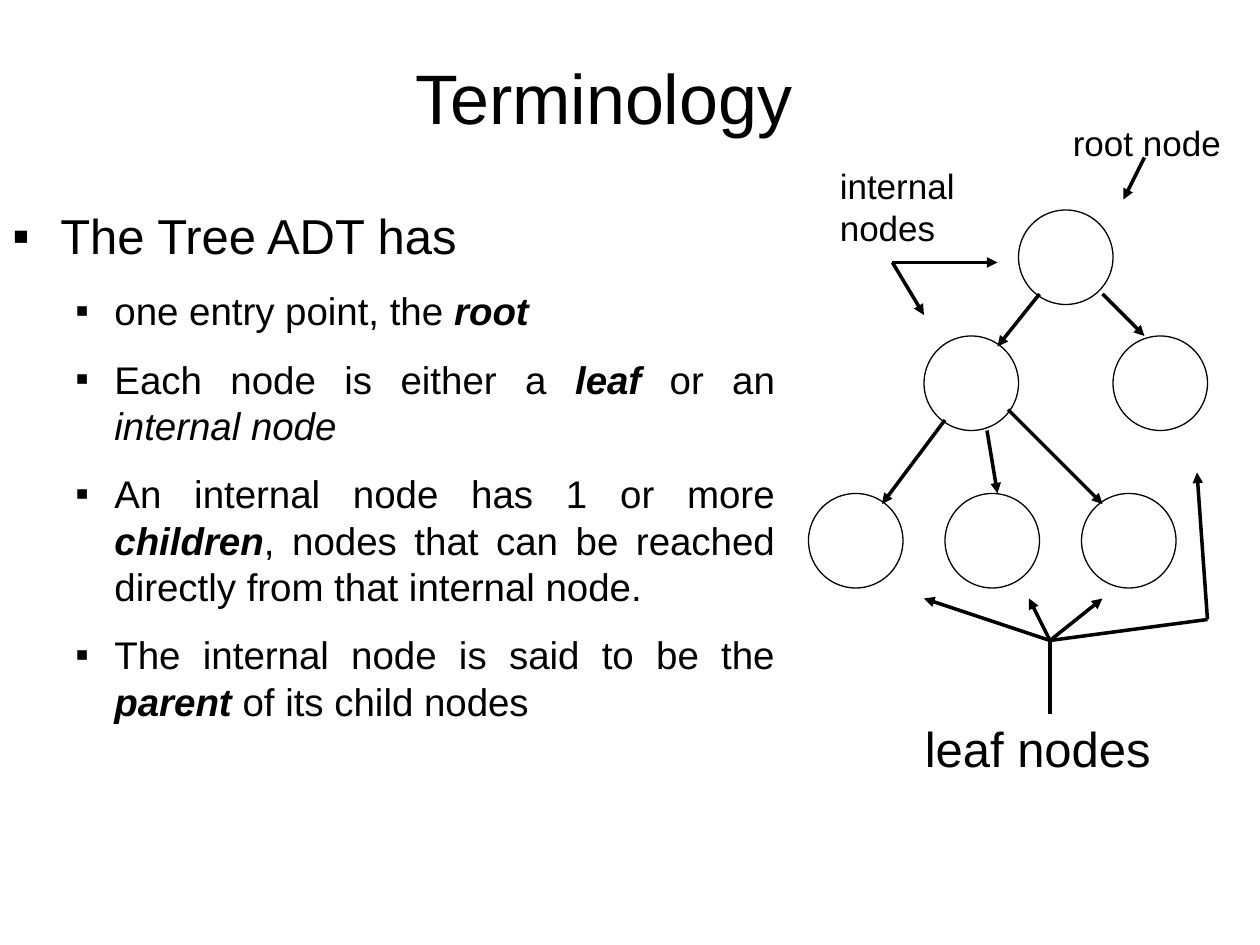
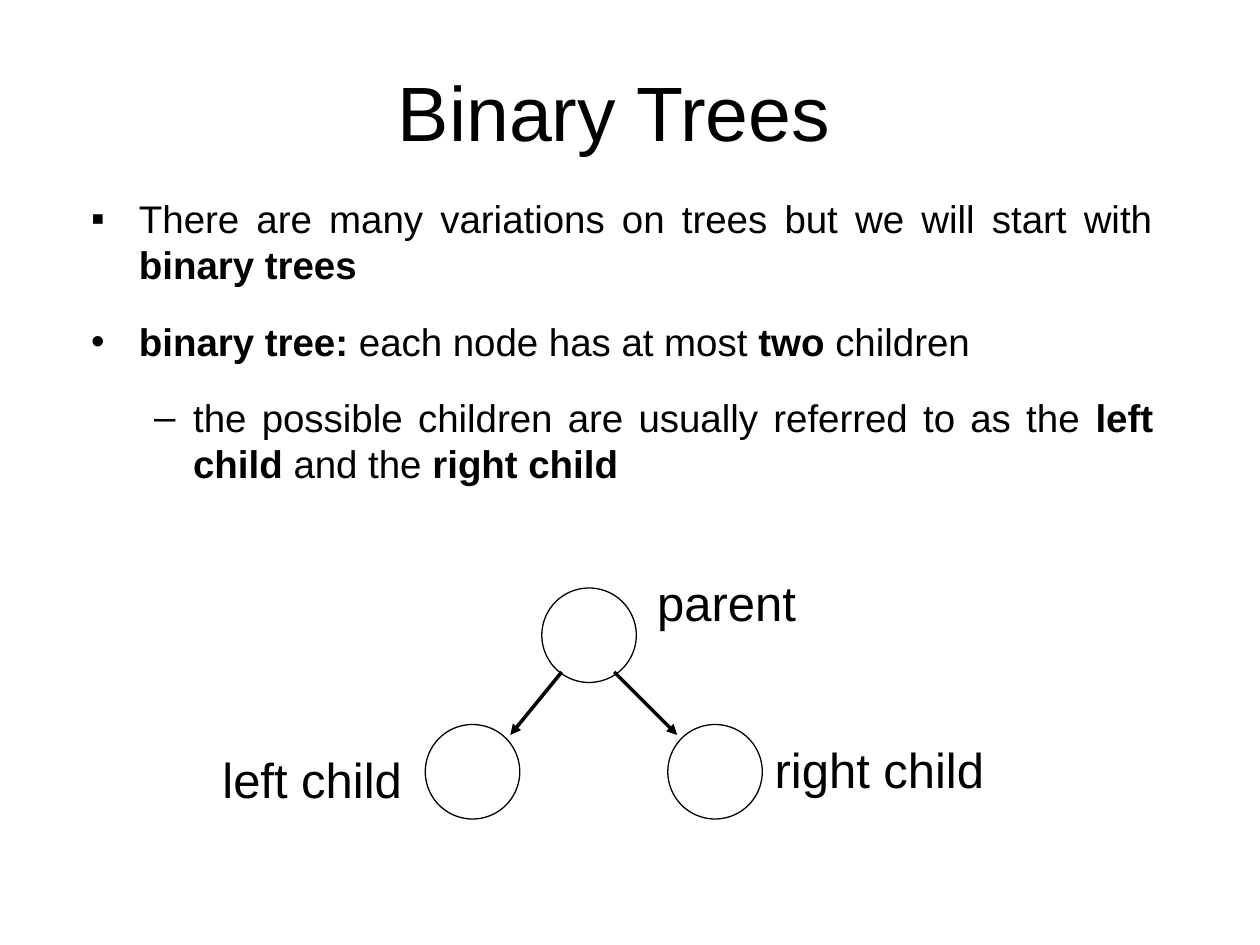
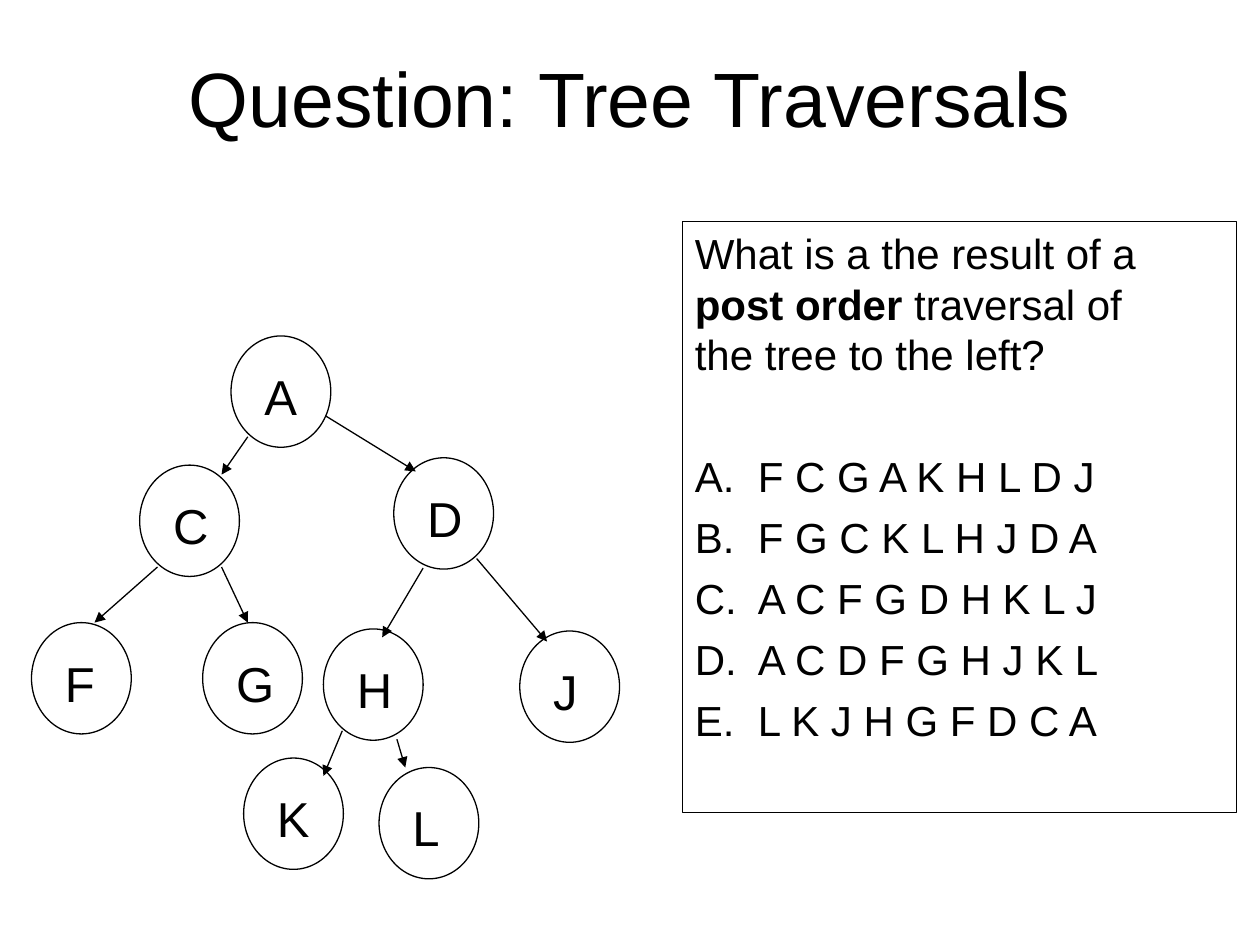
from dataclasses import dataclass

from lxml import etree
from pptx import Presentation
from pptx.dml.color import RGBColor
from pptx.enum.shapes import MSO_CONNECTOR, MSO_SHAPE
from pptx.enum.text import MSO_ANCHOR, PP_ALIGN
from pptx.oxml.ns import qn
from pptx.util import Inches, Pt

OVAL, RECT = MSO_SHAPE.OVAL, MSO_SHAPE.RECTANGLE
LINE = MSO_CONNECTOR.STRAIGHT
MID, TOP = MSO_ANCHOR.MIDDLE, MSO_ANCHOR.TOP
LEFT, MIDDLE, FULL = PP_ALIGN.LEFT, PP_ALIGN.CENTER, PP_ALIGN.JUSTIFY

WIDE, HIGH = Inches(10), Inches(7.5)
COLS, ROWS = 120, 90  # grid cells across and down the slide


@dataclass(frozen=True)
class Theme:
    font: str = "Arial"
    ink: RGBColor = RGBColor(0, 0, 0)
    title: int = 44
    label: int = 28
    note: int = 20
    text: int = 22
    quiz: int = 24
    thin: float = 0.75
    thick: float = 2


THEME = Theme()


# Shared helpers: all lengths are grid cells
def across(n):
    return round(WIDE * n / COLS)


def down(n):
    return round(HIGH * n / ROWS)


def place(x, y, w, h):
    return across(x), down(y), across(w), down(h)


def shift(box, x, y, w, h):
    return box[0] + x, box[1] + y, w, h


def add_runs(para, runs, size):
    """Each run is (text, style); style holds b and i as needed."""
    for text, style in runs:
        for i, part in enumerate(text.split("\n")):
            if i:
                para.add_line_break()
            if not part:
                continue
            run = para.add_run()
            run.text = part
            font = run.font
            font.name, font.size = THEME.font, Pt(size)
            font.color.rgb = THEME.ink
            font.bold, font.italic = "b" in style, "i" in style


def add_mark(para, left, hang, tag, **attrs):
    """Bullet or number with a hanging indent, in inches."""
    props = para._p.get_or_add_pPr()
    props.set("marL", str(Inches(left)))
    props.set("indent", str(Inches(-hang)))
    etree.SubElement(props, qn("a:buFont"), typeface=THEME.font)
    etree.SubElement(props, qn("a:" + tag), attrs)


def add_text(slide, box, text, size, align=LEFT, anchor=TOP):
    frame = slide.shapes.add_textbox(*place(*box)).text_frame
    frame.word_wrap, frame.vertical_anchor = True, anchor
    para = frame.paragraphs[0]
    para.alignment = align
    add_runs(para, [(text, "")], size)


def add_outline(slide, kind, box):
    shape = slide.shapes.add_shape(kind, *place(*box))
    shape.shadow.inherit = False
    shape.fill.background()
    shape.line.color.rgb = THEME.ink
    shape.line.width = Pt(THEME.thin)
    return shape


def add_line(slide, box, ends, width, arrow=True):
    x1, y1, x2, y2 = ends
    left, top = box[:2]
    line = slide.shapes.add_connector(
        LINE, across(left + x1), down(top + y1), across(left + x2), down(top + y2))
    line.line.color.rgb = THEME.ink
    line.line.width = Pt(width)
    props = line._element.spPr
    if arrow:
        etree.SubElement(props.find(qn("a:ln")), qn("a:tailEnd"), type="triangle")
    etree.SubElement(props, qn("a:effectLst"))


def add_title(slide, x, y, text, size=THEME.title):
    add_text(slide, (x, y, 102, 15), text, size, MIDDLE, MID)


def add_points(slide, box, points, gap):
    """Each point is (level, mark, size, runs)."""
    frame = slide.shapes.add_textbox(*place(*box)).text_frame
    frame.word_wrap = True
    for i, (level, mark, size, runs) in enumerate(points):
        para = frame.add_paragraph() if i else frame.paragraphs[0]
        para.alignment, para.level = FULL, level
        para.space_before = Pt(gap if i else 0)
        left, hang = ((0.38, 0.38), (0.81, 0.31))[level]
        add_mark(para, left, hang, "buChar", char=mark)
        add_runs(para, runs, size)


def add_tree(slide, box, nodes, edges, labels):
    """Round nodes joined by heavy arrows; labels are (cells, text, size)."""
    for x, y in nodes:
        add_outline(slide, OVAL, shift(box, x, y, 9, 9))
    for ends in edges:
        add_line(slide, box, ends, THEME.thick)
    for cells, text, size in labels:
        add_text(slide, shift(box, *cells), text, size)


def add_named(slide, box, nodes, edges):
    """Tree of lettered nodes; each node is (letter, x, y, label width)."""
    for name, x, y, w in nodes:
        add_outline(slide, OVAL, shift(box, x, y, 9.5, 10.6))
        add_text(slide, shift(box, x + 2, y + 2.3, w, 6.8), name, THEME.label)
    for ends in edges:
        add_line(slide, box, ends, THEME.thin)


def add_quiz(slide, box, ask, picks):
    frame = add_outline(slide, RECT, box).text_frame
    frame.word_wrap, frame.vertical_anchor = True, TOP
    para = frame.paragraphs[0]
    para.alignment = LEFT
    add_runs(para, ask, THEME.quiz)
    for i, pick in enumerate(picks):
        para = frame.add_paragraph()
        para.alignment = LEFT
        para.space_before = Pt(6 if i else 40.8)
        add_mark(para, 0.5, 0.5, "buAutoNum", type="alphaUcPeriod")
        add_runs(para, [(pick, "")], THEME.quiz)


# Slides
def draw_terms(slide):
    add_title(slide, 6.5, 1.7, "Terminology", 40)
    size = THEME.text
    add_points(slide, (0, 19, 75, 63), [
        (0, "▪", THEME.label, [("The Tree ADT has", "")]),
        (1, "▪", size, [("one entry point, the ", ""), ("root", "bi")]),
        (1, "▪", size, [("Each node is either a ", ""), ("leaf", "bi"),
                        (" or an ", ""), ("internal node", "i")]),
        (1, "▪", size, [("An internal node has 1 or more ", ""), ("children", "bi"),
                        (", nodes that can be reached directly from that"
                         " internal node.", "")]),
        (1, "▪", size, [("The internal node is said to be the ", ""),
                        ("parent", "bi"), (" of its child nodes", "")]),
    ], 12.8)
    box = (77, 11, 40, 63)
    add_tree(
        slide, box,
        [(20, 9), (11, 21), (29, 21), (0, 36), (13, 36), (26, 36)],
        [(22, 17, 18, 22), (28, 17, 32, 21), (13, 29, 7, 37),
         (17, 30, 18, 36), (19, 28, 28, 37)],
        [((24, 0, 17.5, 5.3), "root node", THEME.note),
         ((9.9, 56.8, 25, 6.8), "leaf nodes", THEME.label),
         ((1.8, 4.1, 14.5, 9.2), "internal\nnodes", THEME.note)])
    # Pointers from the labels
    fork, bend, inner = (23, 50), (38, 48), (8, 14)
    for tail, tip in [((32, 4), (30, 8)), (inner, (11, 19)), (inner, (18, 14)),
                      (fork, (11, 46)), (fork, (21, 46)), (fork, (28, 46)),
                      (bend, (37, 34))]:
        add_line(slide, box, tail + tip, THEME.thick)
    for tail, tip in [((23, 57), fork), (fork, bend)]:
        add_line(slide, box, tail + tip, THEME.thick, False)


def draw_binary(slide):
    add_title(slide, 7.5, 3, "Binary Trees")
    size = THEME.text
    add_points(slide, (7.5, 18, 103.5, 65), [
        (0, "▪", size, [("There are many variations on trees but we will start with ", ""),
                        ("binary trees", "b")]),
        (0, "•", size, [("binary tree: ", "b"), ("each node has at most ", ""),
                        ("two", "b"), (" children", "")]),
        (1, "–", size, [("the possible children are usually referred to as the ", ""),
                        ("left child ", "b"), ("and the ", ""), ("right child", "b")]),
    ], 17.3)
    add_tree(
        slide, (20, 54, 75, 24),
        [(31.6, 2), (20.5, 15), (43.6, 15)],
        [(33.5, 10, 28.6, 16), (38.5, 10, 44.5, 16)],
        [((41.4, -0.1, 16.7, 6.8), "parent", THEME.label),
         ((0, 16.8, 20.5, 6.8), "left child", THEME.label),
         ((52.6, 15.8, 23.5, 6.8), "right child", THEME.label)])


def draw_quiz(slide):
    add_title(slide, 9, 1.7, "Question: Tree Traversals")
    add_named(
        slide, (3, 32, 56, 52),
        [("A", 19, 0, 5.5), ("C", 10.3, 12.3, 5.8), ("D", 34.5, 11.6, 5.8),
         ("F", 0, 27.3, 5.3), ("G", 16.3, 27.3, 6), ("H", 27.8, 27.9, 5.8),
         ("J", 46.5, 28.1, 4.7), ("K", 20.2, 40.2, 5.5), ("L", 33.1, 41.1, 4.9)],
        [(20.6, 9.6, 18.1, 13.2), (28, 7.6, 36.6, 12.9),
         (12, 22, 6, 27.3), (18.1, 22, 20.6, 27.3),
         (37.3, 22.1, 33.4, 28.7), (42.4, 21.2, 49.1, 29.1),
         (29.6, 37.6, 27.8, 41.9), (34.8, 38.4, 35.6, 41.1)])
    add_quiz(
        slide, (65, 21.1, 52.8, 56.3),
        [("What is a the result of a\n", ""), ("post order ", "b"),
         ("traversal of\nthe tree to the left?", "")],
        ["F C G A K H L D J", "F G C K L H J D A", "A C F G D H K L J",
         "A C D F G H J K L", "L K J H G F D C A"])


def main():
    deck = Presentation()
    deck.slide_width, deck.slide_height = WIDE, HIGH
    blank = deck.slide_layouts[6]
    for draw in (draw_terms, draw_binary, draw_quiz):
        draw(deck.slides.add_slide(blank))
    deck.save("out.pptx")


if __name__ == "__main__":
    main()
